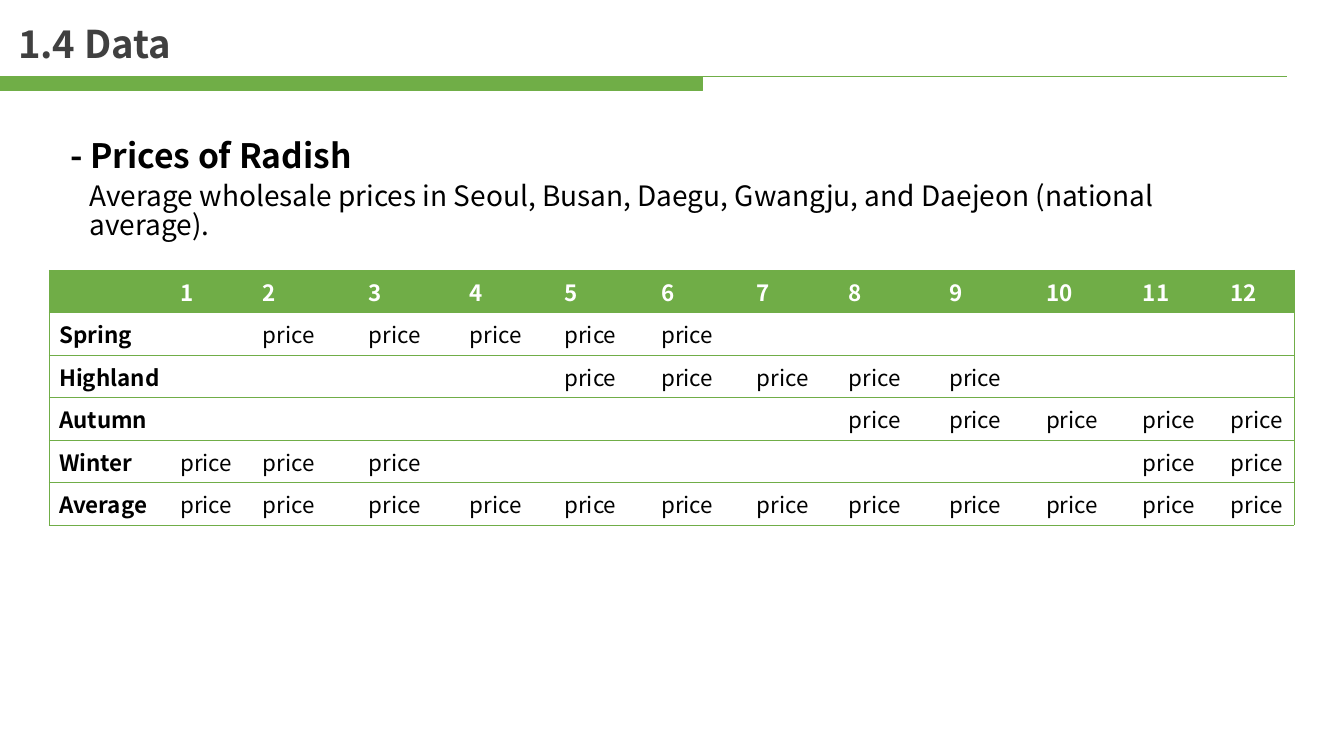
from lxml import etree
from pptx import Presentation
from pptx import util as u
from pptx.dml.color import RGBColor
from pptx.enum import shapes, text
from pptx.oxml import ns

COLORS = {"bar": "70AE47", "table": "70AD47", "title": "404040", "body": "000000", "header": "FFFFFF"}
FONT = "Noto Sans CJK KR"
NO_STYLE = "{2D5ABB26-0587-4C30-8999-92F81FD0307C}"


def write(frame, words, size=16, color="body", bold=False, spacing=None, anchor=text.MSO_ANCHOR.TOP):
    frame.word_wrap = True
    frame.vertical_anchor = anchor
    paragraph = frame.paragraphs[0]
    paragraph.alignment = text.PP_ALIGN.LEFT
    paragraph.line_spacing = spacing
    run = paragraph.add_run()
    run.text = words
    run.font.name = FONT
    run.font.size = u.Pt(size)
    run.font.bold = bold
    run.font.color.rgb = RGBColor.from_string(COLORS[color])
    properties = run.font._element
    etree.SubElement(properties, ns.qn("a:ea"), typeface=FONT)


def add_border(cell, side):
    line = etree.SubElement(cell._tc.get_or_add_tcPr(), ns.qn(f"a:ln{side}"), w=str(u.Pt(0.5)))
    fill = etree.SubElement(line, ns.qn("a:solidFill"))
    etree.SubElement(fill, ns.qn("a:srgbClr"), val=COLORS["table"])


deck = Presentation()
deck.slide_width, deck.slide_height = u.Cm(33.87), u.Cm(19.05)
slide = deck.slides.add_slide(deck.slide_layouts[5])
green = RGBColor.from_string(COLORS["bar"])

rule = slide.shapes.add_connector(shapes.MSO_CONNECTOR.STRAIGHT, 0, u.Cm(1.93), u.Cm(32.44), u.Cm(1.93))
rule.line.color.rgb = green
rule.line.width = u.Pt(1)
etree.SubElement(rule._element.spPr, ns.qn("a:effectLst"))

bar = slide.shapes.add_shape(shapes.MSO_SHAPE.RECTANGLE, 0, u.Cm(1.93), u.Cm(17.7), u.Cm(0.36))
bar.shadow.inherit = False
bar.fill.solid()
bar.fill.fore_color.rgb = green
bar.line.color.rgb = green
bar.line.width = u.Pt(0.75)

heading = slide.shapes.title
heading.left, heading.top, heading.width, heading.height = u.Cm(0.2), u.Cm(0.28), u.Cm(16.74), u.Cm(1.75)
heading.text_frame.auto_size = text.MSO_AUTO_SIZE.NONE
write(heading.text_frame, "1.4 Data", size=27.3, color="title", bold=True, spacing=0.9,
      anchor=text.MSO_ANCHOR.MIDDLE)

topic = slide.shapes.add_textbox(u.Cm(1.52), u.Cm(3.28), u.Cm(8.94), u.Cm(1.27))
write(topic.text_frame, "- Prices of Radish", size=24, bold=True)

description = slide.shapes.add_textbox(u.Cm(2.01), u.Cm(4.52), u.Cm(30.4), u.Cm(1.12))
write(description.text_frame,
      "Average wholesale prices in Seoul, Busan, Daegu, Gwangju, and Daejeon (national average).",
      size=20, spacing=0.84)

price_months = {
    "Spring": range(2, 7),
    "Highland": range(5, 10),
    "Autumn": range(8, 13),
    "Winter": (1, 2, 3, 11, 12),
    "Average": range(1, 13),
}
column_widths = [3.05, 2.08, 2.67, 2.54, 2.39, 2.44, 2.41, 2.31, 2.54, 2.44, 2.44, 2.21, 1.85]
row_height = 1.07
rows = [["", *map(str, range(1, 13))]]
for season, months in price_months.items():
    rows.append([season] + ["price" if month in months else "" for month in range(1, 13)])

price_frame = slide.shapes.add_table(len(rows), len(column_widths), u.Cm(1.24), u.Cm(6.81),
                                     u.Cm(sum(column_widths)), u.Cm(row_height * len(rows)))
prices = price_frame.table
prices.horz_banding = False
prices._tbl.tblPr.find(ns.qn("a:tableStyleId")).text = NO_STYLE
for column, width in zip(prices.columns, column_widths):
    column.width = u.Cm(width)

for r, row in enumerate(rows):
    prices.rows[r].height = u.Cm(row_height)
    for c, words in enumerate(row):
        cell = prices.cell(r, c)
        if c == 0:
            add_border(cell, "L")
        if c == len(row) - 1:
            add_border(cell, "R")
        add_border(cell, "T")
        add_border(cell, "B")
        if r == 0:
            cell.fill.solid()
            cell.fill.fore_color.rgb = RGBColor.from_string(COLORS["table"])
        else:
            cell.fill.background()
        if words:
            write(cell.text_frame, words, color="body" if r else "header", bold=r == 0 or c == 0)

deck.save("out.pptx")
